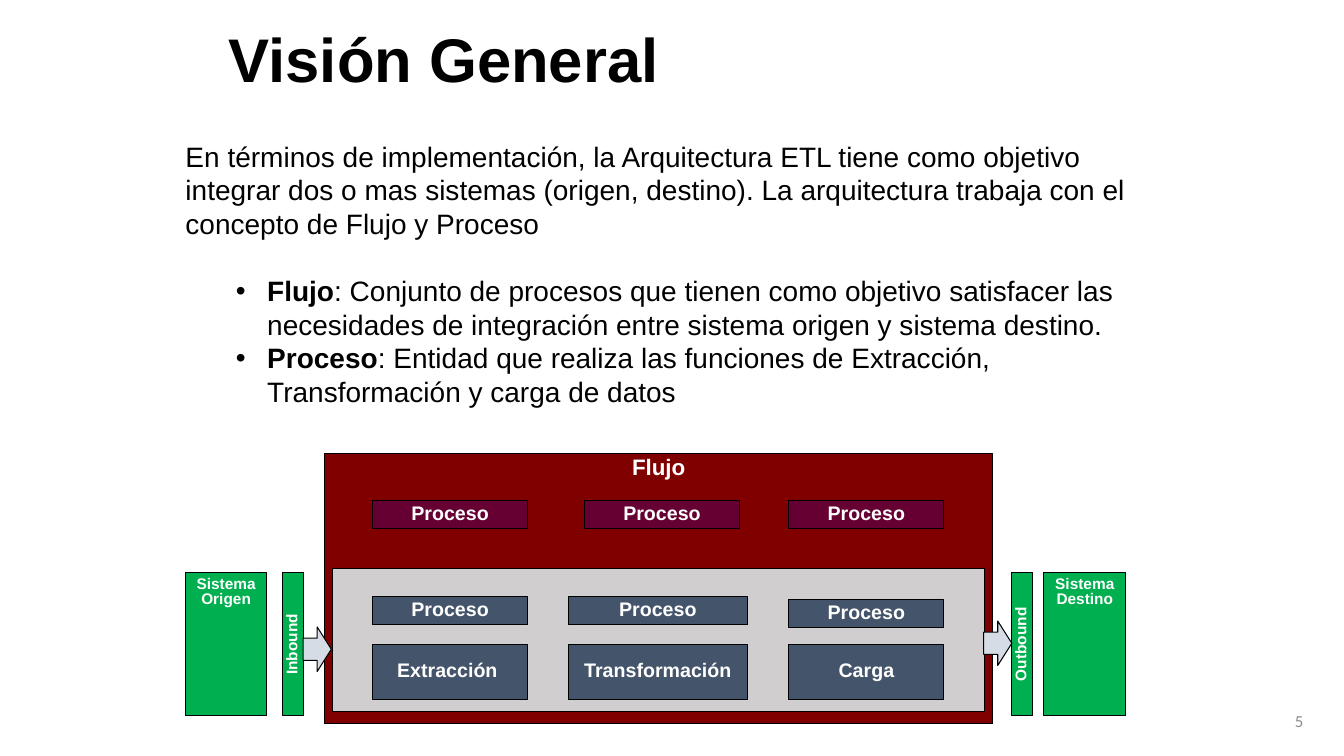
import pptx
import pptx.util
import pptx.dml.color
import pptx.enum.shapes
import pptx.enum.text
import pptx.oxml
import pptx.oxml.ns

Cm = pptx.util.Cm
Pt = pptx.util.Pt
SHAPES = pptx.enum.shapes.MSO_SHAPE
ALIGN = pptx.enum.text.PP_ALIGN
ANCHOR = pptx.enum.text.MSO_ANCHOR
LABEL = {"name": "Arial", "bold": True}
GREEN, SLATE, PLUM = "00B050", "44546A", "660033"


def color(value):
    return pptx.dml.color.RGBColor.from_string(value)


def apply(target, values):
    for name, value in values.items():
        setattr(target, name, value)


def place(shape, box):
    for name, value in zip(("left", "top", "width", "height"), box):
        setattr(shape, name, Cm(value))


def write(para, text, ink, size, **values):
    span = para.add_run()
    span.text = text
    apply(span.font, {"size": Pt(size), "name": "Arial", **values})
    span.font.color.rgb = color(ink)


def set_bullet(para, margin, hanging, mark=None):
    props = para._p.get_or_add_pPr()
    props.set("marL", str(Cm(margin)))
    props.set("indent", str(Cm(-hanging)))
    tags = [("a:buFont", "typeface", "Arial"), ("a:buChar", "char", mark)] if mark else [("a:buNone", None, None)]
    for tag, key, value in tags:
        child = pptx.oxml.parse_xml(f"<{tag} {pptx.oxml.ns.nsdecls('a')}/>")
        if key:
            child.set(key, value)
        props.append(child)


def add_title(page, box):
    title = page.shapes.title
    place(title, box)
    apply(title.text_frame, {"vertical_anchor": ANCHOR.MIDDLE, "word_wrap": True,
                             "auto_size": pptx.enum.text.MSO_AUTO_SIZE.NONE})
    para = title.text_frame.paragraphs[0]
    apply(para, {"alignment": ALIGN.LEFT, "line_spacing": 0.9})
    write(para, "Visión General", "000000", 44, bold=True)


def add_body(page, box):
    body = page.placeholders[1]
    place(body, box)
    frame = body.text_frame
    apply(frame, {"vertical_anchor": ANCHOR.TOP, "word_wrap": True,
                  "auto_size": pptx.enum.text.MSO_AUTO_SIZE.NONE})
    intro = ("En términos de implementación, la Arquitectura ETL tiene como objetivo integrar dos o mas "
             "sistemas (origen, destino). La arquitectura trabaja con el concepto de Flujo y Proceso")
    items = [
        ("", intro, 0, 0),
        ("Flujo", ": Conjunto de procesos que tienen como objetivo satisfacer las necesidades de "
                  "integración entre sistema origen y sistema destino.", 1, 24),
        ("Proceso", ": Entidad que realiza las funciones de Extracción, Transformación y carga de datos", 1, 0),
    ]
    for index, (term, text, level, gap) in enumerate(items):
        para = frame.add_paragraph() if index else frame.paragraphs[0]
        apply(para, {"level": level, "alignment": ALIGN.LEFT, "line_spacing": Pt(24),
                     "space_before": Pt(gap), "space_after": Pt(0)})
        if level:
            set_bullet(para, 2.06, 0.79, "•")
        else:
            set_bullet(para, 0, 0)
        if term:
            write(para, term, "000000", 20, bold=True)
        write(para, text, "000000", 20, bold=False)


def add_block(group, box, fill, text="", size=14, anchor=ANCHOR.TOP, kind=SHAPES.RECTANGLE, upright=False):
    shape = group.shapes.add_shape(kind, *map(Cm, box))
    shape.shadow.inherit = False
    shape.fill.solid()
    shape.fill.fore_color.rgb = color(fill)
    shape.line.color.rgb = color("000000")
    shape.line.width = Pt(0.75)
    if text:
        frame = shape.text_frame
        apply(frame, {"vertical_anchor": anchor, "word_wrap": True})
        if upright:
            frame._txBody.bodyPr.set("vert", "vert270")
        para = frame.paragraphs[0]
        apply(para, {"alignment": ALIGN.CENTER, "line_spacing": 0.8})
        write(para, text, "FFFFFF", size, **LABEL)


def add_flow(group, box):
    left, top, width, height = box
    add_block(group, box, "800000", "Flujo", 16)
    add_block(group, (left + 0.2, top + 2.9, width - 0.4, 3.61), "D0CECE")
    columns = [
        (1.21, 6.14, 3.91, 3.61, "Extracción "),
        (6.55, 6.14, 4.52, 3.61, "Transformación"),
        (11.7, 11.7, 3.91, 3.68, "Carga"),
    ]
    for upper, lower, wide, drop, action in columns:
        add_block(group, (left + upper, top + 1.19, 3.91, 0.71), PLUM, "Proceso")
        add_block(group, (left + (lower if wide > 4 else upper), top + drop, wide, 0.71), SLATE, "Proceso")
        add_block(group, (left + (lower if wide > 4 else upper), top + 4.8, wide, 1.4), SLATE, action,
                  anchor=ANCHOR.MIDDLE)


def add_diagram(page, box):
    left, top, width, height = box
    group = page.shapes.add_group_shape()
    add_flow(group, (left + 3.51, top, 16.84, height))
    ends = [
        ("Sistema Origen", 0, "Inbound", 2.46, 2.97, 4.37),
        ("Sistema Destino", width - 2.06, "Outbound", 20.83, 20.12, 4.22),
    ]
    for system, system_x, port, port_x, arrow_x, arrow_y in ends:
        add_block(group, (left + system_x, top + 3, 2.06, 3.61), GREEN, system, 11)
        add_block(group, (left + port_x, top + 3, 0.51, 3.61), GREEN, port, 11, ANCHOR.MIDDLE, upright=True)
        add_block(group, (left + arrow_x, top + arrow_y, 0.71, 1.12), "D6DCE5", kind=SHAPES.RIGHT_ARROW)


def add_page_number(page, box):
    frame = page.shapes.add_textbox(*map(Cm, box)).text_frame
    apply(frame, {"vertical_anchor": ANCHOR.MIDDLE, "word_wrap": True})
    frame.paragraphs[0].alignment = ALIGN.RIGHT
    write(frame.paragraphs[0], "5", "8C8C8C", 12, name="Calibri")


def main():
    deck = pptx.Presentation()
    apply(deck, {"slide_width": Cm(33.87), "slide_height": Cm(19.05)})
    page = deck.slides.add_slide(deck.slide_layouts[1])
    add_page_number(page, (25.48, 17.65, 7.62, 1.02))
    add_diagram(page, (4.67, 11.43, 23.7, 6.81))
    add_body(page, (4.42, 3.38, 24.21, 7.87))
    add_title(page, (5.51, 0.48, 22.78, 2.18))
    deck.save("out.pptx")


if __name__ == "__main__":
    main()
